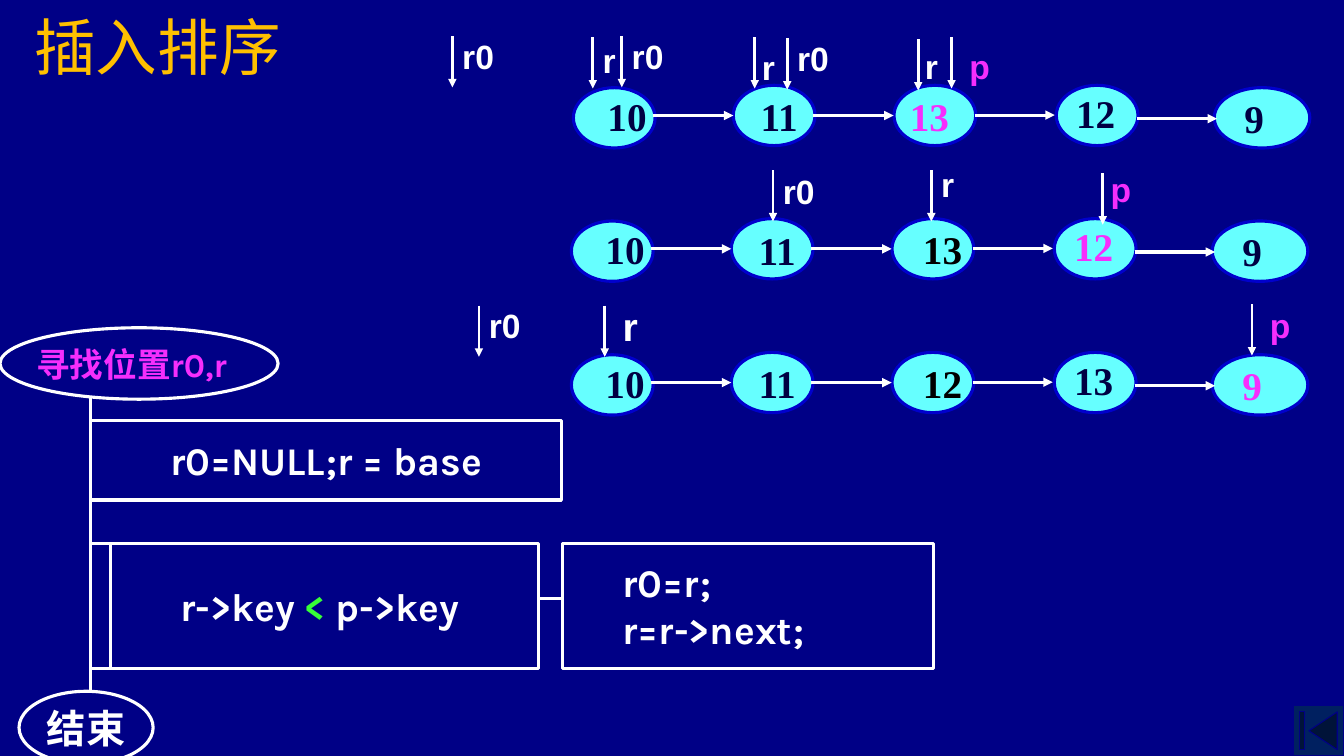
from lxml.etree import SubElement
from pptx import Presentation
from pptx.dml.color import RGBColor
from pptx.enum.shapes import MSO_CONNECTOR as CONNECTOR, MSO_SHAPE as SHAPE
from pptx.enum.text import MSO_ANCHOR as ANCHOR, PP_ALIGN as ALIGN
from pptx.oxml.ns import qn
from pptx.util import Cm, Pt

NAVY = RGBColor(0x00, 0x00, 0x86)
DEEP_BLUE = RGBColor(0x00, 0x20, 0x60)
OUTLINE = RGBColor(0x00, 0x00, 0xCC)
CYAN = RGBColor(0x66, 0xFF, 0xFF)
INK = RGBColor(0x00, 0x00, 0x43)
BLACK = RGBColor(0x00, 0x00, 0x00)
WHITE = RGBColor(0xFF, 0xFF, 0xFF)
PINK = RGBColor(0xF5, 0x2E, 0xFC)
GREEN = RGBColor(0x37, 0xFF, 0x37)
GOLD = RGBColor(0xFF, 0xC0, 0x00)

NODES = [(0, 0.06, 2.06), (4.03, 0, 2.06), (8.08, 0, 2.06), (12.17, 0, 2.06), (16.15, 0.06, 2.41)]
LINKS = [(2.01, 0.76), (6.05, 0.76), (10.11, 0.75), (14.2, 0.84)]
VALUE_OFFSETS = [(0.61, 0.04), (4.47, 0.06), (8.61, 0.04), (12.42, -0.03), (16.66, 0.09)]
LINK_LENGTH = 2.02
POINTER_LENGTH = 1.29

LISTS = [
    (14.45, 2.15, [("10", INK), ("11", INK), ("13", PINK), ("12", INK), ("9", INK)], -0.38),
    (14.4, 5.51, [("10", INK), ("11", INK), ("13", BLACK), ("12", PINK), ("9", INK)], 0),
    (14.4, 8.88, [("10", INK), ("11", INK), ("12", BLACK), ("13", INK), ("9", PINK)], 0),
]

POINTERS = [
    ("r0", 11.4, 0.91, 11.4, 0.79, 24),
    ("r", 14.94, 0.94, 14.94, 0.89, 24),
    ("r0", 15.67, 0.91, 15.67, 0.79, 24),
    ("r", 19.02, 0.94, 18.95, 1.07, 24),
    ("r0", 19.84, 0.97, 19.84, 0.84, 24),
    ("r", 23.14, 0.99, 23.06, 1.04, 24),
    ("p", 23.98, 0.94, 24.18, 1.04, 24),
    ("r0", 19.48, 4.29, 19.48, 4.17, 24),
    ("r", 23.47, 4.29, 23.47, 4.01, 24),
    ("p", 27.79, 4.37, 27.74, 4.14, 24),
    ("r0", 12.07, 7.7, 12.07, 7.57, 24),
    ("r", 15.24, 7.7, 15.44, 7.49, 28),
    ("p", 31.55, 7.67, 31.75, 7.57, 24),
]


def set_font(font, name, size, color, bold=True):
    """Apply typeface, size, colour and weight."""
    font.name = name
    font.size = Pt(size)
    font.bold = bold
    font.color.rgb = color


def add_outline(slide, kind, left, top, width, height, fill=None, color=WHITE, weight=2.25):
    """Add a preset shape, hollow unless a fill is given."""
    shape = slide.shapes.add_shape(kind, Cm(left), Cm(top), Cm(width), Cm(height))
    shape.shadow.inherit = False
    if fill is None:
        shape.fill.background()
    else:
        shape.fill.solid()
        shape.fill.fore_color.rgb = fill
    shape.line.color.rgb = color
    shape.line.width = Pt(weight)
    return shape


def add_line(slide, start, end, weight=2.25, arrow=False):
    """Add a straight white line, with an arrowhead if asked."""
    line = slide.shapes.add_connector(
        CONNECTOR.STRAIGHT, Cm(start[0]), Cm(start[1]), Cm(end[0]), Cm(end[1]))
    line.line.color.rgb = WHITE
    line.line.width = Pt(weight)
    if arrow:
        SubElement(line.line._get_or_add_ln(), qn("a:tailEnd"), type="triangle")
    SubElement(line._element.spPr, qn("a:effectLst"))


def add_label(slide, text, left, top, width, height, name, size, color):
    """Add a one-line text box."""
    box = slide.shapes.add_textbox(Cm(left), Cm(top), Cm(width), Cm(height))
    box.text_frame.word_wrap = True
    paragraph = box.text_frame.paragraphs[0]
    paragraph.text = text
    set_font(paragraph.font, name, size, color)
    return box


def add_terminal(slide, text, ellipse, box, size, color):
    """Add a flowchart ellipse with its centred caption."""
    add_outline(slide, SHAPE.OVAL, *ellipse)
    label = add_label(slide, text, *box, "Karla", size, color)
    label.text_frame.vertical_anchor = ANCHOR.MIDDLE
    label.text_frame.paragraphs[0].alignment = ALIGN.CENTER


def add_step(slide, lines, left, top, width, height, first_indent=None):
    """Add a flowchart box; each line is a list of text and colour pairs."""
    frame = add_outline(slide, SHAPE.RECTANGLE, left, top, width, height).text_frame
    frame.vertical_anchor = ANCHOR.MIDDLE
    for number, parts in enumerate(lines):
        paragraph = frame.add_paragraph() if number else frame.paragraphs[0]
        paragraph.alignment = ALIGN.CENTER
        if first_indent is not None:
            paragraph.alignment = ALIGN.LEFT
            paragraph._p.get_or_add_pPr().set("indent", str(Cm(first_indent)))
        for text, color in parts:
            run = paragraph.add_run()
            run.text = text
            set_font(run.font, "Karla", 28, color)


def add_linked_list(slide, left, top, values, third_shift):
    """Add one row of five linked nodes with their values."""
    for x, y, width in NODES:
        add_outline(slide, SHAPE.OVAL, left + x, top + y, width, 1.52, CYAN, OUTLINE)
    for x, y in LINKS:
        start = (left + x, top + y)
        add_line(slide, start, (start[0] + LINK_LENGTH, start[1]), arrow=True)
    for index, (text, color) in enumerate(values):
        x, y = VALUE_OFFSETS[index]
        shift = third_shift if index == 2 else 0
        add_label(slide, text, left + x + shift, top + y, 1.9, 1.45,
                  "Times New Roman", 28, color)


def add_pointer(slide, name, x, y, label_x, label_y, size):
    """Add a downward arrow and the name of the pointer."""
    add_line(slide, (x, y), (x, y + POINTER_LENGTH), 2, True)
    color = PINK if name == "p" else WHITE
    add_label(slide, name, label_x, label_y, 1.83, 1.3, "Arial", size, color)


def add_title(slide, text):
    """Place and format the title."""
    title = slide.shapes.title
    title.left, title.top, title.width, title.height = Cm(0.61), Cm(0.48), Cm(7.39), Cm(1.35)
    title.text_frame.text = text
    title.text_frame.vertical_anchor = ANCHOR.MIDDLE
    paragraph = title.text_frame.paragraphs[0]
    paragraph.alignment = ALIGN.LEFT
    set_font(paragraph.font, "Karla", 44, GOLD, False)


def add_flowchart(slide):
    """Add the flowchart that searches for the insert position."""
    add_terminal(slide, "寻找位置r0,r", (0, 8.26, 7.01, 1.8), (0, 8.41, 6.63, 1.52), 24, PINK)
    add_line(slide, (2.29, 9.98), (2.29, 17.42))
    add_step(slide, [[("r0=NULL;r = base", WHITE)]], 2.29, 10.59, 11.86, 2.01)
    add_step(slide, [[(" r->key ", WHITE), ("< ", GREEN), ("p->key", WHITE)]],
             2.29, 13.69, 11.28, 3.15)
    add_line(slide, (2.79, 13.69), (2.79, 16.87))
    add_line(slide, (13.59, 15.09), (14.17, 15.09))
    add_step(slide, [[("r0=r;", WHITE)], [("r=r->next;", WHITE)]],
             14.17, 13.69, 9.35, 3.15, 1.27)
    add_terminal(slide, "结束", (0.48, 17.42, 3.38, 1.83), (0.48, 17.63, 3.38, 1.42), 28, WHITE)


def main():
    """Build and save the slide."""
    presentation = Presentation()
    presentation.slide_width, presentation.slide_height = Cm(33.87), Cm(19.05)
    slide = presentation.slides.add_slide(presentation.slide_layouts[5])
    slide.background.fill.solid()
    slide.background.fill.fore_color.rgb = NAVY
    add_outline(slide, SHAPE.ACTION_BUTTON_BEGINNING, 32.59, 17.78, 1.27, 1.27,
                DEEP_BLUE, NAVY, 0.75)
    add_title(slide, "插入排序")
    add_flowchart(slide)
    for linked_list in LISTS:
        add_linked_list(slide, *linked_list)
    for pointer in POINTERS:
        add_pointer(slide, *pointer)
    presentation.save("out.pptx")


if __name__ == "__main__":
    main()
